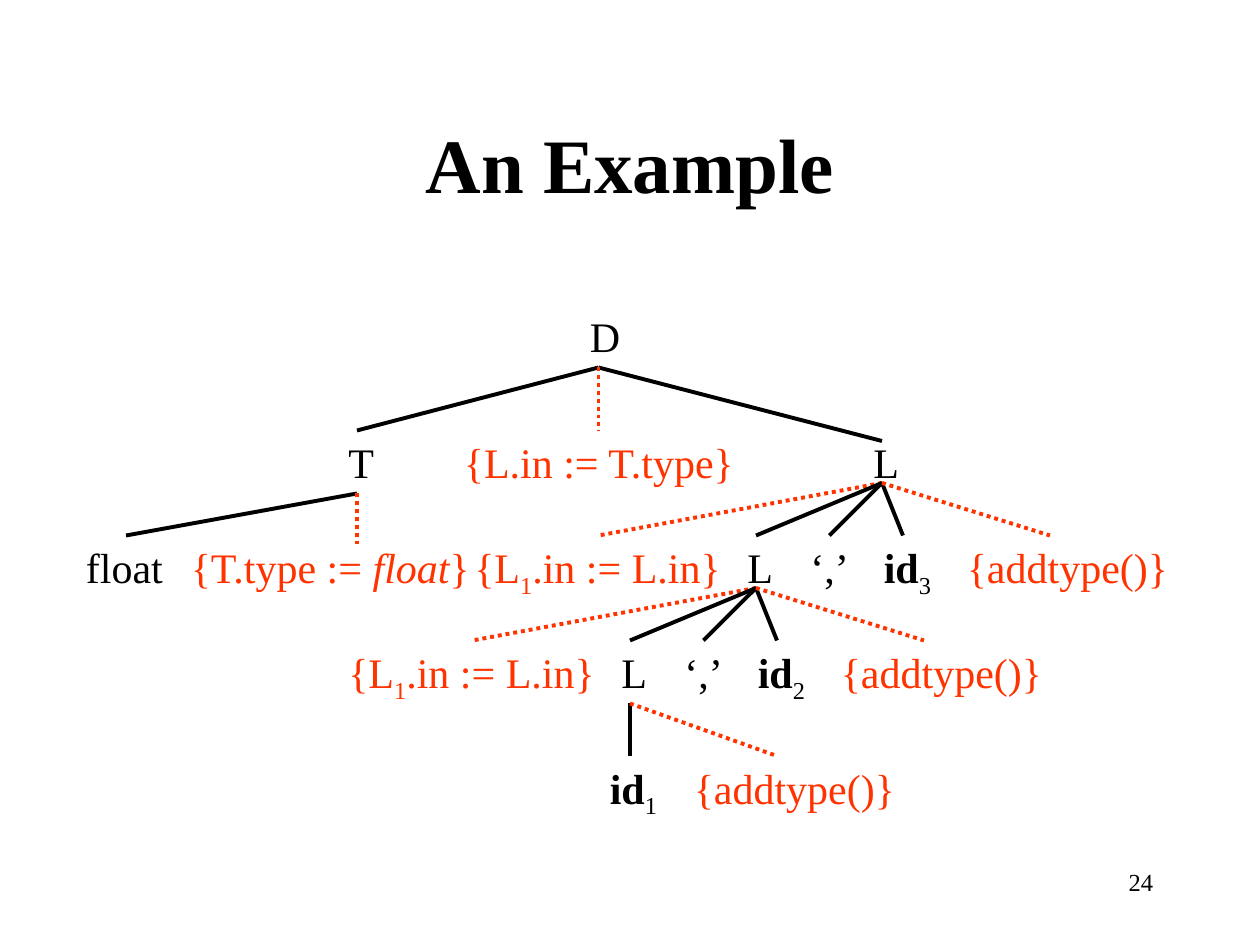
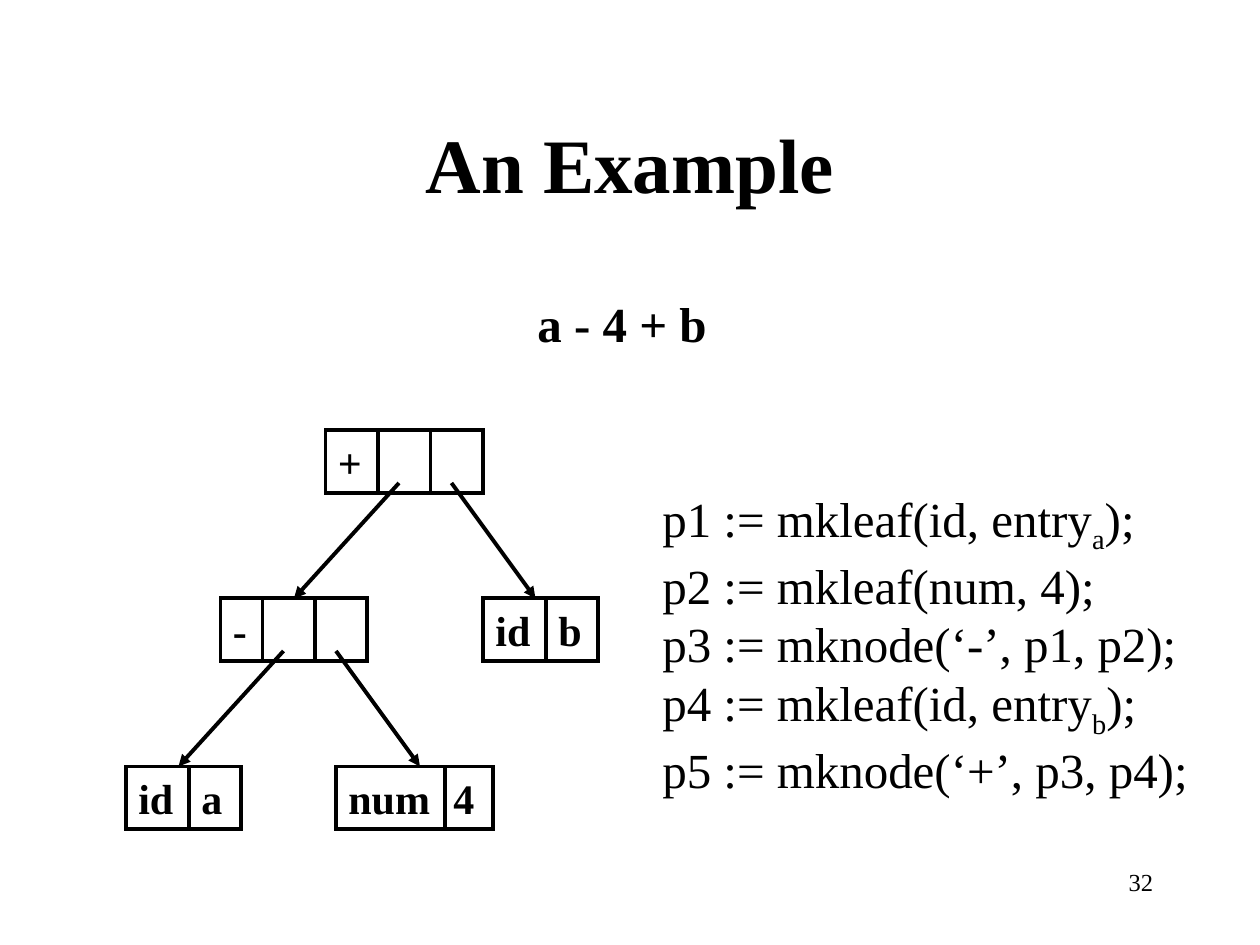
import dataclasses
import typing

import pptx
import pptx.dml.color
import pptx.enum.dml
import pptx.enum.shapes
import pptx.enum.text
import pptx.oxml
import pptx.oxml.ns
import pptx.shapes.autoshape
import pptx.shapes.connector
import pptx.slide
import pptx.util

EMU_PER_PX = 7620  # 120 px to the inch
ALIGN = pptx.enum.text.PP_ALIGN
Point = tuple[int, int]


@dataclasses.dataclass(frozen=True)
class Theme:
    font: str = "Times New Roman"
    ink: str = "000000"
    action: str = "FF3300"
    title_size: int = 44
    code_size: int = 28
    label_size: int = 24
    number_size: int = 14
    line_width: float = 2.25


class Span(typing.NamedTuple):
    text: str
    bold: bool = False
    italic: bool = False
    subscript: bool = False


@dataclasses.dataclass(frozen=True)
class Label:
    left: int
    top: int
    width: int
    spans: tuple[Span, ...]
    color: str


@dataclasses.dataclass(frozen=True)
class Branch:
    start: Point
    end: Point
    is_action: bool = False
    has_arrow: bool = False


class Symbol(typing.NamedTuple):
    """One child of a production, placed relative to its parent."""
    text_offset: int
    line_offset: int
    width: int
    spans: tuple[Span, ...]
    is_action: bool = False


class Cell(typing.NamedTuple):
    width: int
    text: str = ""
    text_width: int = 0
    nudge: int = 0


class Node(typing.NamedTuple):
    left: int
    top: int
    cells: tuple[Cell, ...]


THEME = Theme()
ROW_HEIGHT = 60


# Shared drawing
def px(length: int) -> pptx.util.Emu:
    return pptx.util.Emu(length * EMU_PER_PX)


def rgb(color: str) -> pptx.dml.color.RGBColor:
    return pptx.dml.color.RGBColor.from_string(color)


def drawing_element(markup: str) -> typing.Any:
    return pptx.oxml.parse_xml(f'<a:{markup} {pptx.oxml.ns.nsdecls("a")}/>')


def format_run(run: typing.Any, size: int, color: str, span: Span) -> None:
    run.font.name = THEME.font
    run.font.size = pptx.util.Pt(size)
    run.font.color.rgb = rgb(color)
    run.font.bold = span.bold
    run.font.italic = span.italic
    if span.subscript:
        run._r.get_or_add_rPr().set("baseline", "-25000")


def add_text(shapes: typing.Any, left: int, top: int, width: int, height: int,
             lines: typing.Sequence[typing.Sequence[Span]], size: int,
             color: str = THEME.ink, align: ALIGN = ALIGN.LEFT, wrap: bool = False) -> None:
    box = shapes.add_textbox(px(left), px(top), px(width), px(height))
    frame = box.text_frame
    frame.word_wrap = wrap
    if not wrap:
        frame.auto_size = pptx.enum.text.MSO_AUTO_SIZE.SHAPE_TO_FIT_TEXT
    for index, spans in enumerate(lines):
        para = frame.add_paragraph() if index else frame.paragraphs[0]
        para.alignment = align
        for span in spans:
            run = para.add_run()
            run.text = span.text
            format_run(run, size, color, span)


def add_label(shapes: typing.Any, label: Label) -> None:
    add_text(shapes, label.left, label.top, label.width, ROW_HEIGHT,
             [label.spans], THEME.label_size, label.color)


def add_branch(shapes: typing.Any, branch: Branch) -> pptx.shapes.connector.Connector:
    connector = shapes.add_connector(
        pptx.enum.shapes.MSO_CONNECTOR.STRAIGHT,
        *(px(value) for value in branch.start + branch.end))
    connector.line.width = pptx.util.Pt(THEME.line_width)
    connector.line.color.rgb = rgb(THEME.action if branch.is_action else THEME.ink)
    if branch.is_action:
        connector.line.dash_style = pptx.enum.dml.MSO_LINE.ROUND_DOT
    if branch.has_arrow:
        connector.line._get_or_add_ln().append(drawing_element('tailEnd type="triangle"'))
    connector._element.spPr.append(drawing_element("effectLst"))
    return connector


def add_page(deck: typing.Any, title: str, number: int) -> pptx.slide.Slide:
    page = deck.slides.add_slide(deck.slide_layouts.get_by_name("Title Only"))
    heading = page.shapes.title
    heading.left, heading.top = px(90), px(80)
    heading.width, heading.height = px(1020), px(150)
    frame = heading.text_frame
    frame.text = title
    frame.auto_size = pptx.enum.text.MSO_AUTO_SIZE.NONE
    frame.vertical_anchor = pptx.enum.text.MSO_ANCHOR.MIDDLE
    para = frame.paragraphs[0]
    para.alignment = ALIGN.CENTER
    format_run(para.runs[0], THEME.title_size, THEME.ink, Span(title, bold=True))
    add_text(page.shapes, 860, 820, 250, ROW_HEIGHT, [[Span(str(number))]],
             THEME.number_size, align=ALIGN.RIGHT, wrap=True)
    return page


# Parse tree with semantic actions
def identifier(index: int) -> tuple[Span, ...]:
    return Span("id", bold=True), Span(str(index), subscript=True)


ADD_TYPE = (Span("{addtype()}"),)
INHERIT = (Span("{L"), Span("1", subscript=True), Span(".in := L.in}"))
TYPE_ACTION = (Span("{T.type := "), Span("float", italic=True), Span("}"))


def list_production(index: int) -> list[Symbol]:
    return [
        Symbol(-400, -270, 262, INHERIT, True),
        Symbol(-140, -120, 48, (Span("L"),)),
        Symbol(-80, -50, 63, (Span("‘,’"),)),
        Symbol(-10, 20, 72, identifier(index)),
        Symbol(69, 160, 218, ADD_TYPE, True),
    ]


def add_production(shapes: typing.Any, parent: Point, drop: int,
                   symbols: typing.Sequence[Symbol]) -> None:
    x, y = parent
    for symbol in symbols:
        color = THEME.action if symbol.is_action else THEME.ink
        add_branch(shapes, Branch(parent, (x + symbol.line_offset, y + drop),
                                  symbol.is_action))
        add_label(shapes, Label(x + symbol.text_offset, y + drop, symbol.width,
                                symbol.spans, color))


def build_parse_tree(deck: typing.Any) -> None:
    shapes = add_page(deck, "An Example", 24).shapes

    # Root and its children
    for label in (
        Label(550, 290, 53, (Span("D"),), THEME.ink),
        Label(320, 410, 48, (Span("T"),), THEME.ink),
        Label(430, 410, 284, (Span("{L.in := T.type}"),), THEME.action),
        Label(820, 410, 48, (Span("L"),), THEME.ink),
        Label(70, 510, 97, (Span("float"),), THEME.ink),
        Label(170, 510, 293, TYPE_ACTION, THEME.action),
    ):
        add_label(shapes, label)
    for branch in (
        Branch((570, 350), (340, 410)),
        Branch((570, 350), (840, 420)),
        Branch((570, 350), (570, 410), is_action=True),
        Branch((340, 470), (120, 510)),
        Branch((340, 470), (340, 520), is_action=True),
    ):
        add_branch(shapes, branch)

    # Nested lists, each one step left and down
    for step, index in enumerate((3, 2)):
        add_production(shapes, (840 - 120 * step, 460 + 100 * step), 50,
                       list_production(index))
    add_production(shapes, (600, 670), 50, [
        Symbol(-31, 0, 72, identifier(1)),
        Symbol(49, 140, 218, ADD_TYPE, True),
    ])


# Syntax tree and the calls that build it
BLANK = Cell(50)
ID = Cell(60, "id", 58)
NODES = (
    Node(310, 410, (Cell(50, "+", 47), BLANK, BLANK)),
    Node(210, 570, (Cell(40, "-", 37), BLANK, BLANK)),
    Node(460, 570, (ID, Cell(50, "b", 46))),
    Node(120, 730, (ID, Cell(50, "a", 43))),
    Node(320, 730, (Cell(104, "num", 102), Cell(46, "4", 43, -4))),
)
POINTERS = (
    Branch((380, 460), (280, 570), has_arrow=True),
    Branch((430, 460), (510, 570), has_arrow=True),
    Branch((270, 620), (170, 730), has_arrow=True),
    Branch((320, 620), (400, 730), has_arrow=True),
)
CALLS = (
    (Span("p1 := mkleaf(id, entry"), Span("a", subscript=True), Span(");")),
    (Span("p2 := mkleaf(num, 4);"),),
    (Span("p3 := mknode(‘-’, p1, p2);"),),
    (Span("p4 := mkleaf(id, entry"), Span("b", subscript=True), Span(");")),
    (Span("p5 := mknode(‘+’, p3, p4);"),),
)


def add_node(page: pptx.slide.Slide, node: Node) -> pptx.shapes.autoshape.Shape:
    shapes = page.shapes.add_group_shape().shapes
    outline = shapes.add_shape(
        pptx.enum.shapes.MSO_SHAPE.RECTANGLE, px(node.left), px(node.top),
        px(sum(cell.width for cell in node.cells)), px(ROW_HEIGHT))
    outline.shadow.inherit = False
    outline.fill.background()
    outline.line.color.rgb = rgb(THEME.ink)
    outline.line.width = pptx.util.Pt(THEME.line_width)
    outline.line._get_or_add_ln().append(drawing_element('miter lim="800000"'))
    left = node.left
    for cell in node.cells:
        if left > node.left:
            add_branch(shapes, Branch((left, node.top), (left, node.top + ROW_HEIGHT)))
        if cell.text:
            add_label(shapes, Label(left + cell.nudge, node.top, cell.text_width,
                                    (Span(cell.text, bold=True),), THEME.ink))
        left += cell.width
    return outline


def build_syntax_tree(deck: typing.Any) -> None:
    page = add_page(deck, "An Example", 32)
    add_text(page.shapes, 500, 274, 186, 68, [[Span("a - 4 + b", bold=True)]],
             THEME.code_size)
    outlines = [add_node(page, node) for node in NODES]
    for pointer in POINTERS:
        connector = add_branch(page.shapes, pointer)
        for outline in outlines:
            top_middle = (outline.left + outline.width // 2, outline.top)
            if top_middle == (connector.end_x, connector.end_y):
                connector.end_connect(outline, 0)
    add_text(page.shapes, 619, 459, 525, 308, CALLS, THEME.code_size)


def main() -> None:
    deck = pptx.Presentation()
    deck.slide_width, deck.slide_height = px(1200), px(900)
    build_parse_tree(deck)
    build_syntax_tree(deck)
    deck.save("out.pptx")


if __name__ == "__main__":
    main()
